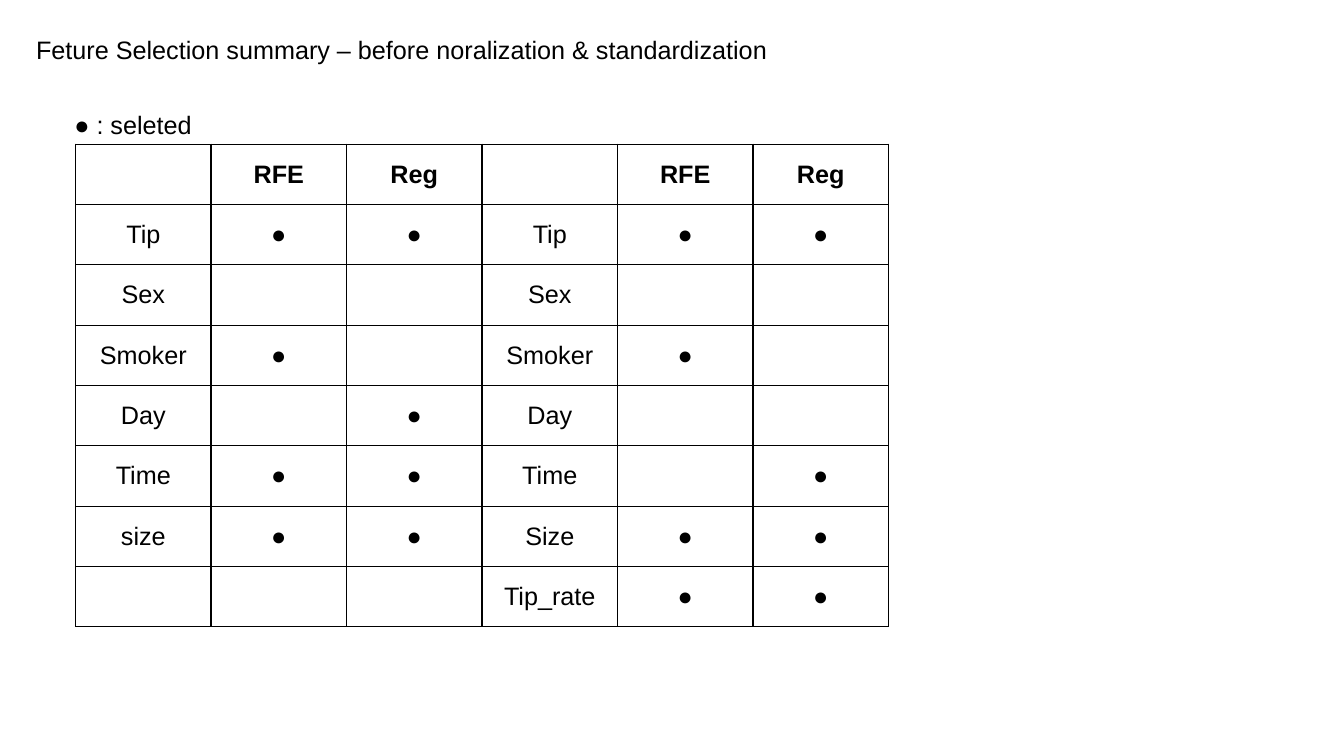
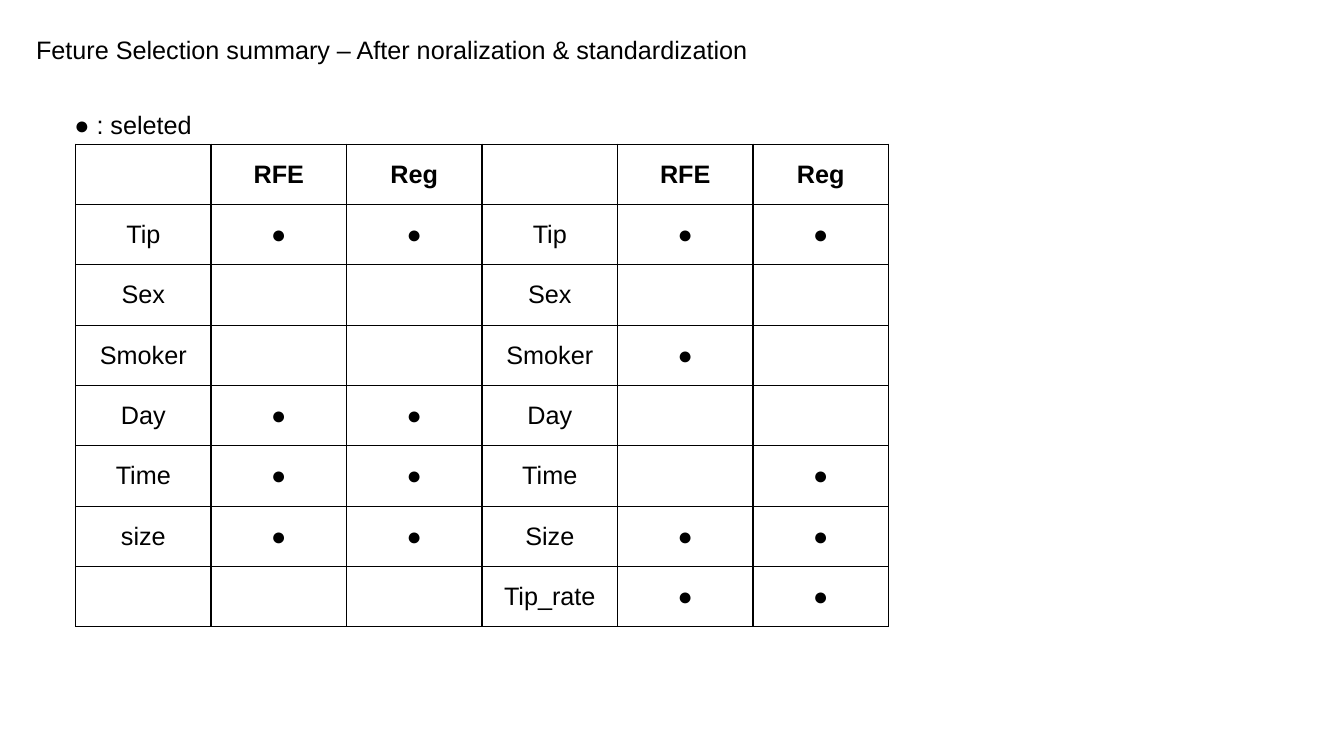
"""Build two slides that sum up which features each method selects."""
from dataclasses import dataclass

from lxml import etree
from pptx import Presentation
from pptx.dml.color import RGBColor
from pptx.enum import text as t
from pptx.oxml.ns import qn
from pptx.util import Pt


@dataclass(frozen=True)
class Theme:
    ink: str = "000000"
    paper: str = "FFFFFF"
    font: str = "Arial"
    size: float = 18
    rule: float = 1


THEME = Theme()
DOT = "●"
TITLE = "Feture Selection summary – {} noralization & standardization"
LEGEND = f"{DOT} : seleted"
HEAD = ("", "RFE", "Reg")
RIGHT = [
    ("Tip", DOT, DOT),
    ("Sex", "", ""),
    ("Smoker", DOT, ""),
    ("Day", "", ""),
    ("Time", "", DOT),
    ("Size", DOT, DOT),
    ("Tip_rate", DOT, DOT),
]
SLIDES = [
    ("before", [
        ("Tip", DOT, DOT),
        ("Sex", "", ""),
        ("Smoker", DOT, ""),
        ("Day", "", DOT),
        ("Time", DOT, DOT),
        ("size", DOT, DOT),
        ("", "", ""),
    ]),
    ("After", [
        ("Tip", DOT, DOT),
        ("Sex", "", ""),
        ("Smoker", "", ""),
        ("Day", DOT, DOT),
        ("Time", DOT, DOT),
        ("size", DOT, DOT),
        ("", "", ""),
    ]),
]

TITLE_BOX = (18.7, 21, 571, 29)
LEGEND_BOX = (46, 74.2, 106, 29)
GRID_LEFT, GRID_TOP = 54, 103
COL_WIDTH, ROW_HEIGHT = 96.8, 43.1


def write(frame, words, bold=False, align=t.PP_ALIGN.LEFT):
    para = frame.paragraphs[0]
    para.alignment = align
    run = para.add_run()
    run.text = words
    font = run.font
    font.name, font.size, font.bold = THEME.font, Pt(THEME.size), bold
    font.color.rgb = RGBColor.from_string(THEME.ink)


def label(slide, words, box):
    frame = slide.shapes.add_textbox(*map(Pt, box)).text_frame
    frame.word_wrap = True
    frame.auto_size = t.MSO_AUTO_SIZE.SHAPE_TO_FIT_TEXT
    write(frame, words)


def border(cell):
    props = cell._tc.get_or_add_tcPr()
    for side in ("lnL", "lnR", "lnT", "lnB"):
        line = etree.SubElement(props, qn(f"a:{side}"), w=str(Pt(THEME.rule)))
        fill = etree.SubElement(line, qn("a:solidFill"))
        etree.SubElement(fill, qn("a:srgbClr"), val=THEME.ink)


def grid(slide, rows):
    high, wide = len(rows), len(rows[0])
    box = (GRID_LEFT, GRID_TOP, wide * COL_WIDTH, high * ROW_HEIGHT)
    table = slide.shapes.add_table(high, wide, *map(Pt, box)).table
    table.horz_banding = False
    for col in table.columns:
        col.width = Pt(COL_WIDTH)
    for r, row in enumerate(rows):
        table.rows[r].height = Pt(ROW_HEIGHT)
        for c, words in enumerate(row):
            cell = table.cell(r, c)
            border(cell)
            cell.fill.solid()
            cell.fill.fore_color.rgb = RGBColor.from_string(THEME.paper)
            cell.vertical_anchor = t.MSO_ANCHOR.MIDDLE
            if words:
                write(cell.text_frame, words, bold=r == 0,
                      align=t.PP_ALIGN.CENTER)


def main():
    deck = Presentation()
    deck.slide_width, deck.slide_height = Pt(960), Pt(540)
    for stage, left in SLIDES:
        slide = deck.slides.add_slide(deck.slide_layouts[6])
        label(slide, TITLE.format(stage), TITLE_BOX)
        grid(slide, [HEAD + HEAD] + [a + b for a, b in zip(left, RIGHT)])
        label(slide, LEGEND, LEGEND_BOX)
    deck.save("out.pptx")


if __name__ == "__main__":
    main()
